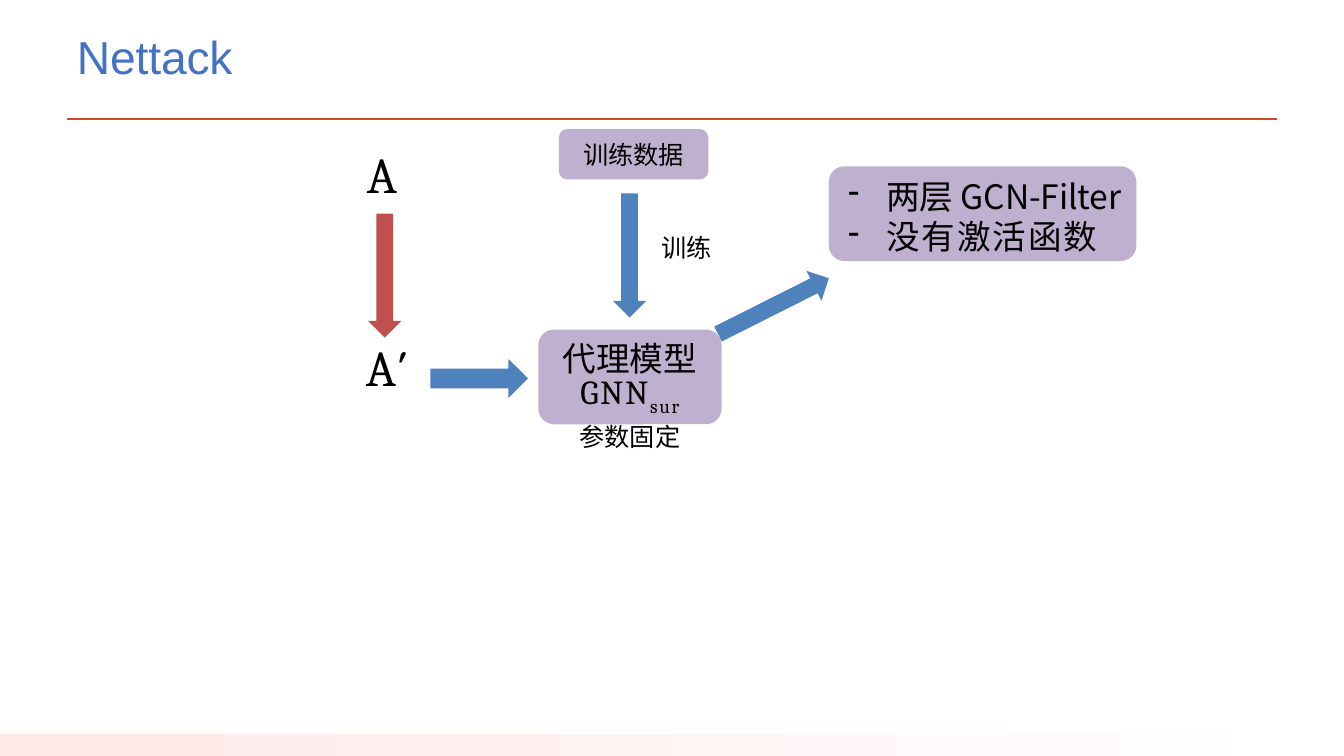
from dataclasses import dataclass
from typing import Optional

from lxml.etree import SubElement
from pptx import Presentation
from pptx.dml.color import RGBColor
from pptx.enum.shapes import MSO_CONNECTOR, MSO_SHAPE
from pptx.enum.text import MSO_ANCHOR, MSO_AUTO_SIZE, PP_ALIGN
from pptx.oxml.ns import qn
from pptx.util import Pt

COLORS = {
    "title": "4472C4", "rule": "D24726", "glow": "FFE8E8", "white": "FFFFFF",
    "text": "000000", "box": "8063A1", "red": "C0504D", "blue": "4F81BC",
}
CJK = "Noto Sans CJK TC"
MATH = "Cambria"


@dataclass
class Label:
    lines: list[str]
    left: float
    top: float
    width: float
    height: float
    size: float = 18
    font: str = CJK
    track: float = 0
    lead: Optional[float] = None
    center: bool = False


@dataclass
class Box:
    label: Label
    inset: tuple[float, float] = (0, 0)
    middle: bool = False


@dataclass
class Arrow:
    kind: MSO_SHAPE
    left: float
    top: float
    width: float
    height: float
    color: str = "blue"
    turn: float = 0


def tint(name: str) -> RGBColor:
    return RGBColor.from_string(COLORS[name])


def style(run, size: float, font: str, track: float = 0, color: str = "text") -> None:
    run.font.size = Pt(size)
    run.font.name = font
    run.font.color.rgb = tint(color)
    props = run.font._element
    SubElement(props, qn("a:ea")).set("typeface", font)
    if track:
        props.set("spc", str(round(track * 100)))


def write(frame, label: Label) -> None:
    frame.word_wrap = True
    frame.vertical_anchor = MSO_ANCHOR.TOP
    frame.margin_left = frame.margin_top = 0
    frame.margin_right = frame.margin_bottom = 0
    frame.text = "\n".join(label.lines)
    for par in frame.paragraphs:
        par.alignment = PP_ALIGN.CENTER if label.center else PP_ALIGN.LEFT
        if label.lead:
            par.line_spacing = Pt(label.lead)
        for run in par.runs:
            style(run, label.size, label.font, label.track)


def draw_label(slide, label: Label) -> None:
    area = [Pt(v) for v in (label.left, label.top, label.width, label.height)]
    write(slide.shapes.add_textbox(*area).text_frame, label)


def draw_box(slide, box: Box):
    label = box.label
    area = [Pt(v) for v in (label.left, label.top, label.width, label.height)]
    shape = slide.shapes.add_shape(MSO_SHAPE.ROUNDED_RECTANGLE, *area)
    shape.shadow.inherit = False
    shape.line.fill.background()
    shape.fill.solid()
    shape.fill.fore_color.rgb = tint("box")
    hue = shape._element.spPr.find(qn("a:solidFill"))[0]
    SubElement(hue, qn("a:alpha")).set("val", "50000")
    frame = shape.text_frame
    write(frame, label)
    frame.margin_left, frame.margin_top = (Pt(v) for v in box.inset)
    if box.middle:
        frame.vertical_anchor = MSO_ANCHOR.MIDDLE
    return frame


def draw_arrow(slide, arrow: Arrow) -> None:
    area = [Pt(v) for v in (arrow.left, arrow.top, arrow.width, arrow.height)]
    shape = slide.shapes.add_shape(arrow.kind, *area)
    shape.shadow.inherit = False
    shape.line.fill.background()
    shape.fill.solid()
    shape.fill.fore_color.rgb = tint(arrow.color)
    shape.rotation = arrow.turn


def bullet(par, mark: str) -> None:
    props = par._p.get_or_add_pPr()
    props.set("marL", str(Pt(28)))
    props.set("indent", str(-Pt(27.4)))
    SubElement(props, qn("a:buChar")).set("char", mark)


LABELS = [
    Label(["A"], 262.1, 102.2, 26, 43, 36, MATH, 0.3),
    Label(["A′"], 261.4, 239.8, 36, 44, 36, MATH, 0.3),
    Label(["训练"], 472.3, 165.6, 40, 21.6),
    Label(["参数固定"], 401, 294.8, 98, 27.9, lead=27.9, center=True),
]
DATA = Box(Label(["训练数据"], 399.2, 92.2, 106.8, 36, center=True), middle=True)
MODEL = Box(Label(["代理模型", "GNN"], 384.5, 235.4, 131, 67.7, 24,
                  lead=27.9, center=True), (0, 3.6))
NOTES = Box(Label(["两层 GCN-Filter", "没有激活函数"], 592, 118.8, 219.8, 67.7, 24),
            (10, 3.6))
ARROWS = [
    Arrow(MSO_SHAPE.DOWN_ARROW, 263, 152.6, 23.8, 88.6, "red"),
    Arrow(MSO_SHAPE.DOWN_ARROW, 437.8, 138.2, 23.8, 88.6),
    Arrow(MSO_SHAPE.RIGHT_ARROW, 307.4, 256.3, 69.8, 28.1),
    Arrow(MSO_SHAPE.RIGHT_ARROW, 508.2, 206.8, 88.6, 23.8, turn=-26.7),
]


def main() -> None:
    deck = Presentation()
    deck.slide_width, deck.slide_height = Pt(960), Pt(540)
    slide = deck.slides.add_slide(deck.slide_layouts[5])

    # Footer band and title rule
    band = slide.shapes.add_shape(MSO_SHAPE.RECTANGLE, 0, Pt(524.2), Pt(960), Pt(15.8))
    band.shadow.inherit = False
    band.line.fill.background()
    band.fill.gradient()
    band.fill.gradient_angle = 0
    for stop, name in zip(band.fill.gradient_stops, ("glow", "white")):
        stop.color.rgb = tint(name)
    rule = slide.shapes.add_connector(MSO_CONNECTOR.STRAIGHT,
                                      Pt(47.8), Pt(85), Pt(912.2), Pt(85))
    rule.line.color.rgb = tint("rule")
    rule.line.width = Pt(2)
    SubElement(rule._element.spPr, qn("a:effectLst"))

    # Title
    title = slide.shapes.title
    title.left, title.top, title.width, title.height = Pt(47.8), 0, Pt(828), Pt(85)
    frame = title.text_frame
    frame.text = "Nettack"
    frame.auto_size = MSO_AUTO_SIZE.NONE
    frame.vertical_anchor = MSO_ANCHOR.MIDDLE
    head = frame.paragraphs[0]
    head.alignment = PP_ALIGN.LEFT
    head.line_spacing = 0.9
    style(head.runs[0], 33, "Arial", -0.1, "title")

    # Boxes
    draw_box(slide, DATA)
    name = draw_box(slide, MODEL).paragraphs[1]
    name.add_run().text = "sur"
    for run in name.runs:
        style(run, 24, MATH, 1.2)
    name.runs[1].font._element.set("baseline", "-25000")
    notes = draw_box(slide, NOTES).paragraphs
    for par in notes:
        bullet(par, "-")
    for par, track in zip(notes, (-0.1, 1.3)):
        par.runs[0].font._element.set("spc", str(round(track * 100)))

    # Arrows and free labels
    for arrow in ARROWS:
        draw_arrow(slide, arrow)
    for label in LABELS:
        draw_label(slide, label)

    deck.save("out.pptx")


if __name__ == "__main__":
    main()
